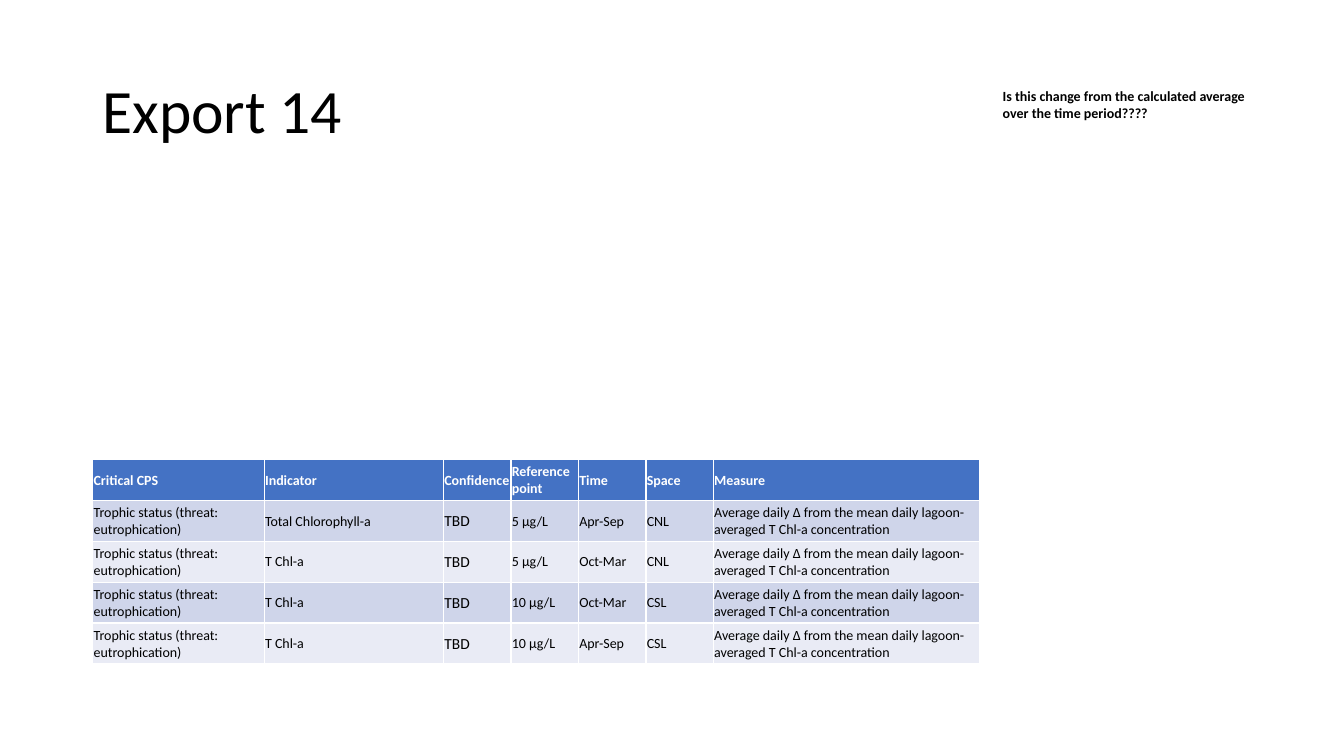
"""Build the Export 14 slide with its indicator table and a side question."""
from pptx import Presentation
from pptx.dml.color import RGBColor
from pptx.enum.text import MSO_ANCHOR as Anchor
from pptx.util import Cm, Pt

TITLE = "Export 14"
QUESTION = "Is this change from the calculated average over the time period????"
HEADER = ["Critical CPS", "Indicator", "Confidence", "Reference point",
          "Time", "Space", "Measure"]
STATUS = "Trophic status (threat: eutrophication)"
MEASURE = ("Average daily ∆ from the mean daily lagoon-averaged "
           "T Chl-a concentration")
READINGS = [
    ("Total Chlorophyll-a", "5 µg/L", "Apr-Sep", "CNL"),
    ("T Chl-a", "5 µg/L", "Oct-Mar", "CNL"),
    ("T Chl-a", "10 µg/L", "Oct-Mar", "CSL"),
    ("T Chl-a", "10 µg/L", "Apr-Sep", "CSL"),
]
ROWS = [HEADER] + [
    [STATUS, indicator, "TBD", reference, time, space, MEASURE]
    for indicator, reference, time, space in READINGS
]
COLUMN_WIDTHS = [4.32, 4.52, 1.7, 1.7, 1.7, 1.7, 6.71]
ROW_HEIGHT = 1.03
HEADER_FILL = "4472C4"
BAND_FILLS = ["CFD5EA", "E9EBF5"]
CELL_FORMAT = {"margin_left": Cm(0.02), "margin_top": Cm(0.02),
               "margin_right": Cm(0.02), "margin_bottom": Cm(0),
               "vertical_anchor": Anchor.MIDDLE}


def color(code):
    return RGBColor.from_string(code)


def apply(target, values):
    for name, value in values.items():
        setattr(target, name, value)


def write(frame, text, size, code="000000", bold=False):
    para = frame.paragraphs[0]
    span = para.add_run()
    span.text = text
    apply(span.font, {"name": "Calibri", "size": Pt(size), "bold": bold})
    span.font.color.rgb = color(code)
    return para


def add_text(page, place, text, size, anchor, bold=False):
    box = page.shapes.add_textbox(*map(Cm, place))
    apply(box.text_frame, {"word_wrap": True, "vertical_anchor": anchor})
    return write(box.text_frame, text, size, bold=bold)


def add_indicators(page, left, top):
    table = page.shapes.add_table(
        len(ROWS), len(HEADER), Cm(left), Cm(top),
        Cm(sum(COLUMN_WIDTHS)), Cm(ROW_HEIGHT * len(ROWS))).table
    for column, width in zip(table.columns, COLUMN_WIDTHS):
        column.width = Cm(width)
    for r, texts in enumerate(ROWS):
        table.rows[r].height = Cm(ROW_HEIGHT)
        is_header = r == 0
        fill = HEADER_FILL if is_header else BAND_FILLS[(r - 1) % 2]
        for c, text in enumerate(texts):
            cell = table.cell(r, c)
            apply(cell, CELL_FORMAT)
            cell.fill.solid()
            cell.fill.fore_color.rgb = color(fill)
            write(cell.text_frame, text, 11 if text == "TBD" else 10,
                  "FFFFFF" if is_header else "000000", is_header)


def main():
    deck = Presentation()
    deck.slide_width, deck.slide_height = Cm(33.87), Cm(19.05)
    page = deck.slides.add_slide(deck.slide_layouts[6])
    title = add_text(page, (2.33, 1.01, 29.21, 3.68), TITLE, 44, Anchor.MIDDLE)
    title.line_spacing = 0.9
    add_indicators(page, 2.34, 11.58)
    add_text(page, (25.02, 2.08, 6.78, 2.82), QUESTION, 10, Anchor.TOP, True)
    deck.save("out.pptx")


if __name__ == "__main__":
    main()
